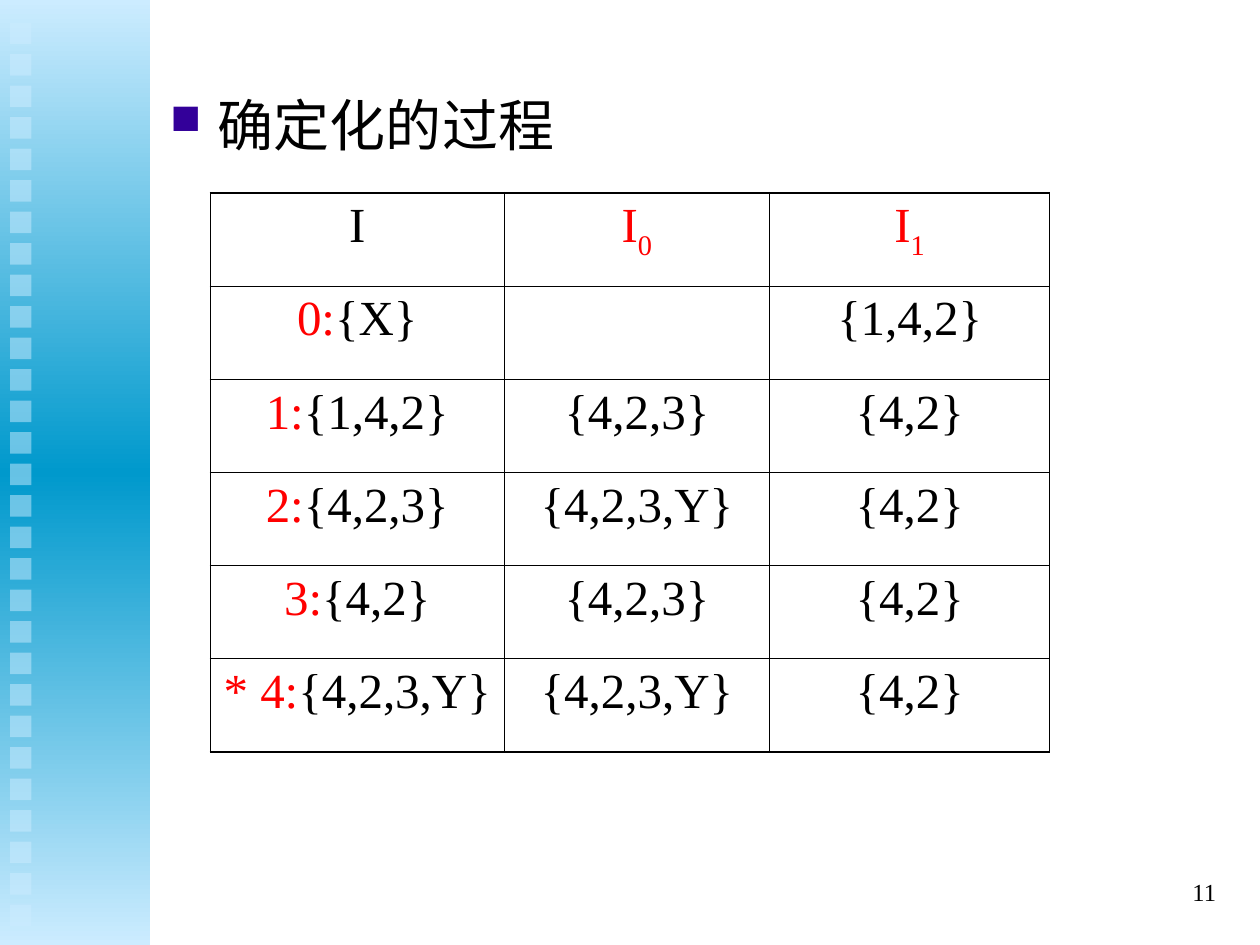
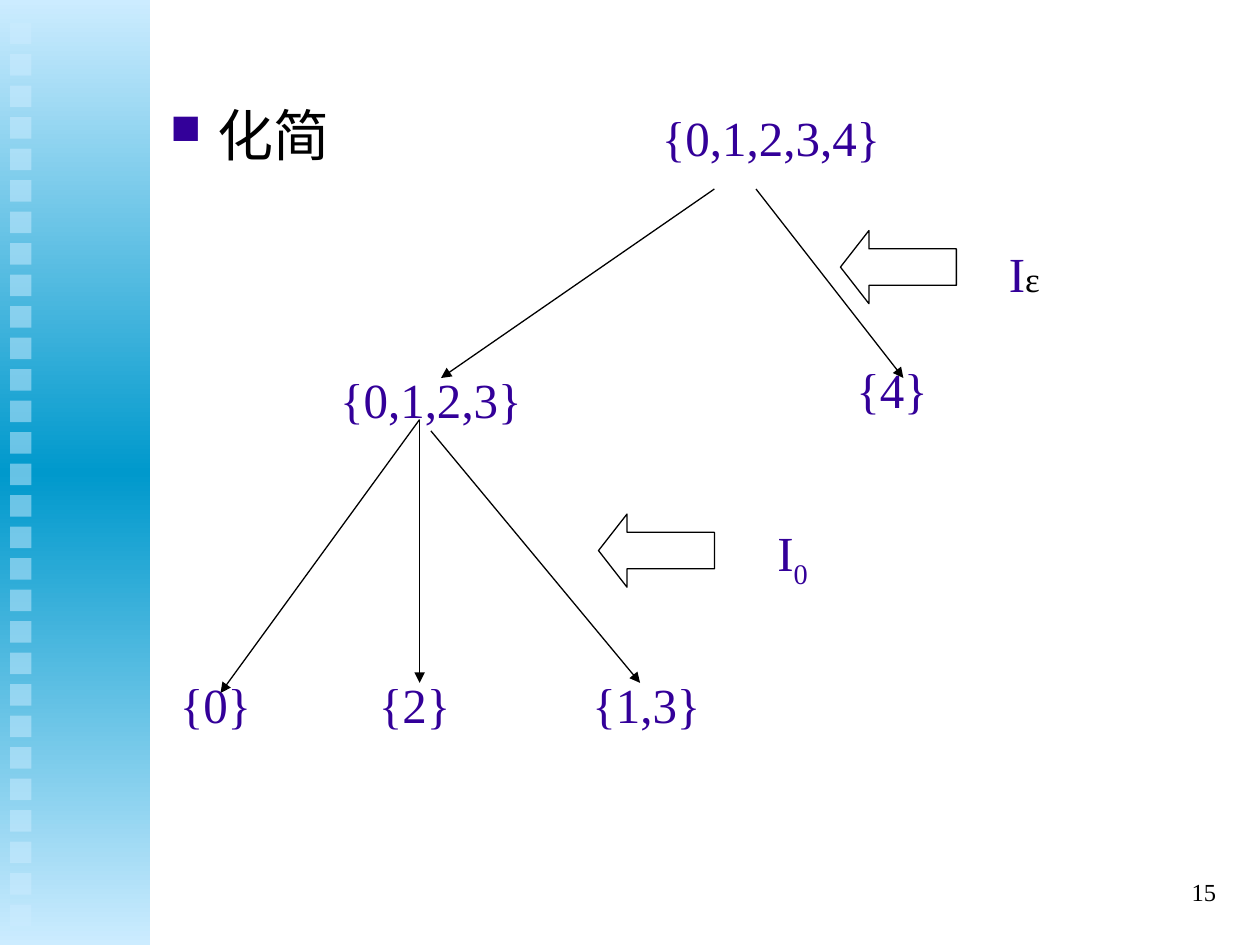
"""Build two slides on making an automaton deterministic and minimal."""
from dataclasses import dataclass
from typing import NamedTuple, Optional

from lxml import etree
from pptx import Presentation
from pptx import util as u
from pptx.dml.color import RGBColor
from pptx.enum import shapes, text
from pptx.oxml import ns

Inches, Pt = u.Inches, u.Pt


@dataclass(frozen=True)
class Theme:
    font: str = "Times New Roman"
    ink: str = "000000"
    accent: str = "330099"
    mark: str = "FF0000"
    band_pale: str = "CCECFF"
    band_deep: str = "0099CC"
    title_size: float = 32
    text_size: float = 28
    epsilon_size: float = 20
    number_size: float = 14
    line_width: float = 0.75
    inner_border: float = 0.45
    outer_border: float = 1.08


THEME = Theme()


class Span(NamedTuple):
    text: str
    color: Optional[str] = None
    size: Optional[float] = None
    subscript: bool = False


class Label(NamedTuple):
    left: float
    top: float
    width: float
    spans: tuple[Span, ...]


class Edge(NamedTuple):
    start: tuple[float, float]
    end: tuple[float, float]


class SplitArrow(NamedTuple):
    left: float
    top: float


BAND_WIDTH, BAND_HEIGHT = 1.19, 7.5
SQUARE_COUNT, SQUARE_LEFT, SQUARE_TOP = 29, 0.08, 0.18
SQUARE_SIDE, SQUARE_PITCH = 0.17, 0.25
LABEL_HEIGHT = 0.67

COLUMN_WIDTHS = (2.33, 2.11, 2.22)
ROW_HEIGHT = 0.74
HEADINGS = (
    (Span("I"),),
    (Span("I", THEME.mark), Span("0", THEME.mark, subscript=True)),
    (Span("I", THEME.mark), Span("1", THEME.mark, subscript=True)),
)
TRANSITIONS = (
    ("0:", "{X}", "", "{1,4,2}"),
    ("1:", "{1,4,2}", "{4,2,3}", "{4,2}"),
    ("2:", "{4,2,3}", "{4,2,3,Y}", "{4,2}"),
    ("3:", "{4,2}", "{4,2,3}", "{4,2}"),
    ("* 4:", "{4,2,3,Y}", "{4,2,3,Y}", "{4,2}"),
)

LABELS = (
    Label(4.83, 0.75, 2.58, (Span("{0,1,2,3,4}"),)),
    Label(2.17, 2.83, 2.5, (Span("{0,1,2,3}"),)),
    Label(5.83, 2.75, 2.5, (Span("{4}"),)),
    Label(1.25, 5.25, 0.92, (Span("{0}"),)),
    Label(2.83, 5.25, 0.92, (Span("{2}"),)),
    Label(4.42, 5.25, 1.42, (Span("{1,3}"),)),
    Label(5.83, 4.08, 0.92, (Span("I"), Span("0", subscript=True))),
    Label(7.67, 1.83, 0.92,
          (Span("I"), Span("ε", THEME.ink, THEME.epsilon_size))),
)
EDGES = (
    Edge((5.67, 1.5), (3.5, 3)),
    Edge((6, 1.5), (7.17, 3)),
    Edge((3.33, 3.33), (1.75, 5.5)),
    Edge((3.33, 3.33), (3.33, 5.42)),
    Edge((3.42, 3.42), (5.08, 5.42)),
)
SPLIT_ARROWS = (SplitArrow(6.67, 1.83), SplitArrow(4.75, 4.08))


def rgb(color: str) -> RGBColor:
    return RGBColor.from_string(color)


def add_child(parent, tag: str, **attributes: str):
    return etree.SubElement(parent, ns.qn(tag), attributes)


def write(paragraph, spans: tuple[Span, ...], color: str, size: float, align) -> None:
    paragraph.alignment = align
    paragraph.font.name = THEME.font
    paragraph.font.size = Pt(size)
    paragraph.font.color.rgb = rgb(color)
    for span in spans:
        run = paragraph.add_run()
        run.text = span.text
        if span.color:
            run.font.color.rgb = rgb(span.color)
        if span.size:
            run.font.size = Pt(span.size)
        if span.subscript:
            run._r.get_or_add_rPr().set("baseline", "-25000")


def add_band(slide) -> None:
    """Draw the side band once and hand it to the slide's layout."""
    band = slide.shapes.add_group_shape()

    def add_block(left: float, top: float, width: float, height: float):
        block = band.shapes.add_shape(
            shapes.MSO_SHAPE.RECTANGLE,
            Inches(left), Inches(top), Inches(width), Inches(height))
        block.shadow.inherit = False
        block.line.fill.background()
        return block

    strip = add_block(0, 0, BAND_WIDTH, BAND_HEIGHT)
    strip.fill.gradient()
    strip.fill.gradient_angle = 270
    stops = strip.element.find(".//" + ns.qn("a:gsLst"))
    for stop in list(stops):
        stops.remove(stop)
    for position, color in ((0, THEME.band_pale), (50, THEME.band_deep),
                            (100, THEME.band_pale)):
        stop = add_child(stops, "a:gs", pos=str(position * 1000))
        add_child(stop, "a:srgbClr", val=color)

    for index in range(SQUARE_COUNT):
        square = add_block(SQUARE_LEFT, SQUARE_TOP + index * SQUARE_PITCH,
                           SQUARE_SIDE, SQUARE_SIDE)
        square.fill.solid()
        square.fill.fore_color.rgb = rgb(THEME.band_pale)
        tint = square.element.spPr.find(".//" + ns.qn("a:srgbClr"))
        add_child(tint, "a:alpha", val="50000")

    for number, part in enumerate(band.element.iter(ns.qn("p:cNvPr")), 100):
        part.set("id", str(number))
    slide.slide_layout.shapes.element.insert(2, band.element)


def set_title(slide, heading: str, top: float) -> None:
    title = slide.shapes.title
    title.left, title.top = Inches(1.25), Inches(top)
    title.width, title.height = Inches(8.5), Inches(0.75)
    frame = title.text_frame
    frame.vertical_anchor = text.MSO_ANCHOR.TOP
    frame.auto_size = text.MSO_AUTO_SIZE.NONE
    paragraph = frame.paragraphs[0]
    paragraph.space_before = Pt(8)
    properties = paragraph._p.get_or_add_pPr()
    properties.set("marL", str(Inches(0.38)))
    properties.set("indent", str(-Inches(0.38)))
    add_child(add_child(properties, "a:buClr"), "a:srgbClr", val=THEME.accent)
    add_child(properties, "a:buSzPct", val="75000")
    add_child(properties, "a:buChar", char="■")
    write(paragraph, (Span(heading),), THEME.ink, THEME.title_size, text.PP_ALIGN.LEFT)


def add_text(slide, left: float, top: float, width: float, height: float,
             spans: tuple[Span, ...], color: str, size: float, align) -> None:
    box = slide.shapes.add_textbox(
        Inches(left), Inches(top), Inches(width), Inches(height))
    frame = box.text_frame
    frame.word_wrap = True
    frame.vertical_anchor = text.MSO_ANCHOR.MIDDLE
    write(frame.paragraphs[0], spans, color, size, align)


def add_slide(deck, heading: str, title_top: float, number: int):
    slide = deck.slides.add_slide(deck.slide_layouts[5])
    set_title(slide, heading, title_top)
    add_text(slide, 7.67, 6.83, 2.08, 0.5, (Span(str(number)),),
             THEME.ink, THEME.number_size, text.PP_ALIGN.RIGHT)
    return slide


def set_borders(cell, outer_sides: dict[str, bool]) -> None:
    properties = cell._tc.get_or_add_tcPr()
    for index, (side, is_outer) in enumerate(outer_sides.items()):
        width = THEME.outer_border if is_outer else THEME.inner_border
        border = add_child(properties, f"a:{side}", w=str(Pt(width)))
        add_child(add_child(border, "a:solidFill"), "a:srgbClr", val=THEME.ink)
        properties.insert(index, border)


def add_transition_table(slide) -> None:
    rows = [HEADINGS] + [
        ((Span(state, THEME.mark), Span(members)), (Span(on_zero),), (Span(on_one),))
        for state, members, on_zero, on_one in TRANSITIONS]
    last_row, last_column = len(rows) - 1, len(COLUMN_WIDTHS) - 1
    table = slide.shapes.add_table(
        len(rows), len(COLUMN_WIDTHS), Inches(1.67), Inches(1.53),
        Inches(sum(COLUMN_WIDTHS)), Inches(ROW_HEIGHT * len(rows))).table
    table.first_row = table.horz_banding = False
    for column, width in zip(table.columns, COLUMN_WIDTHS):
        column.width = Inches(width)
    for r, row in enumerate(rows):
        table.rows[r].height = Inches(ROW_HEIGHT)
        for c, spans in enumerate(row):
            cell = table.cell(r, c)
            cell.fill.background()
            set_borders(cell, {"lnL": c == 0, "lnR": c == last_column,
                               "lnT": r == 0, "lnB": r == last_row})
            paragraph = cell.text_frame.paragraphs[0]
            paragraph.space_before = Pt(7)
            write(paragraph, tuple(span for span in spans if span.text),
                  THEME.ink, THEME.text_size, text.PP_ALIGN.CENTER)


def add_edge(slide, edge: Edge) -> None:
    connector = slide.shapes.add_connector(
        shapes.MSO_CONNECTOR.STRAIGHT,
        *(Inches(value) for value in edge.start + edge.end))
    connector.line.color.rgb = rgb(THEME.ink)
    connector.line.width = Pt(THEME.line_width)
    add_child(connector.line._get_or_add_ln(), "a:tailEnd", type="triangle")
    add_child(connector.element.spPr, "a:effectLst")


def add_split_arrow(slide, split: SplitArrow) -> None:
    arrow = slide.shapes.add_shape(
        shapes.MSO_SHAPE.LEFT_ARROW,
        Inches(split.left), Inches(split.top), Inches(0.92), Inches(0.58))
    arrow.adjustments[0], arrow.adjustments[1] = 0.5, 0.39
    arrow.shadow.inherit = False
    arrow.fill.background()
    arrow.line.color.rgb = rgb(THEME.ink)
    arrow.line.width = Pt(THEME.line_width)


def main() -> None:
    deck = Presentation()
    deck.slide_width, deck.slide_height = Inches(10), Inches(7.5)

    determinize = add_slide(deck, "确定化的过程", 0.67, 11)
    add_band(determinize)
    add_transition_table(determinize)

    minimize = add_slide(deck, "化简", 0.75, 15)
    for label in LABELS:
        add_text(minimize, label.left, label.top, label.width, LABEL_HEIGHT,
                 label.spans, THEME.accent, THEME.text_size, text.PP_ALIGN.CENTER)
    for edge in EDGES:
        add_edge(minimize, edge)
    for split in SPLIT_ARROWS:
        add_split_arrow(minimize, split)

    deck.save("out.pptx")


if __name__ == "__main__":
    main()
